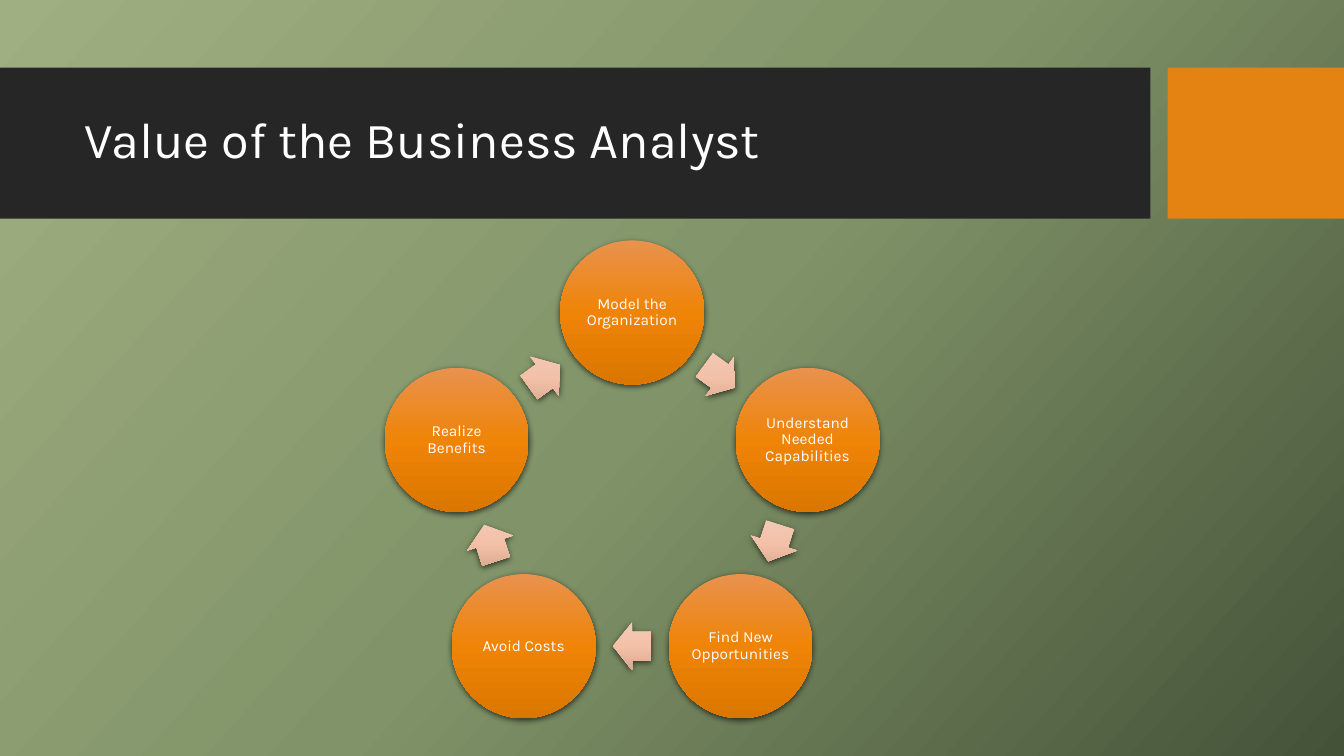
from copy import deepcopy
from math import cos, pi, sin

from lxml.etree import SubElement
from pptx import Presentation
from pptx.dml.color import RGBColor
from pptx.enum.shapes import MSO_SHAPE
from pptx.enum.text import MSO_ANCHOR, PP_ALIGN
from pptx.oxml.ns import qn
from pptx.util import Inches, Pt

WIDTH, HEIGHT = 13.33, 7.5
FONT = "Karla"
BACKGROUND = ("A0AF81", "819469", "445238")
CIRCLE_COLOURS = ("E9924F", "EF8407", "DB7600")
ARROW_COLOURS = ("F2CBB8", "F3C0A8", "DCA991")
STEPS = (
    "Model the Organization",
    "Understand Needed Capabilities",
    "Find New Opportunities",
    "Avoid Costs",
    "Realize Benefits",
)


def colour(hex_string):
    """Turn a hex string into a colour."""
    return RGBColor.from_string(hex_string)


def paint_gradient(fill, element, colours, angle):
    """Give a fill three evenly spaced stops at a clockwise angle."""
    fill.gradient()
    fill.gradient_angle = 360 - angle
    gradient = next(element.iter(qn("a:gradFill")))
    gradient.set("rotWithShape", "0")
    stop_list = gradient.find(qn("a:gsLst"))
    stop_list.append(deepcopy(stop_list[-1]))
    for stop, hex_string, position in zip(fill.gradient_stops, colours, (0, 0.5, 1)):
        stop.color.rgb = colour(hex_string)
        stop.position = position


def add_shadow(shape):
    """Add a soft shadow that falls straight down."""
    shape.shadow.inherit = False
    effects = next(shape.element.iter(qn("a:effectLst")))
    shadow = SubElement(effects, qn("a:outerShdw"), blurRad=str(Pt(4.5)),
                        dist=str(Pt(1.5)), dir="5400000", rotWithShape="0")
    black = SubElement(shadow, qn("a:srgbClr"), val="000000")
    SubElement(black, qn("a:alpha"), val="63000")


def add_centred(shapes, kind, centre, size, colours):
    """Add a shaded shape around a centre point."""
    (x, y), (width, height) = centre, size
    shape = shapes.add_shape(kind, Inches(x - width / 2), Inches(y - height / 2),
                             Inches(width), Inches(height))
    paint_gradient(shape.fill, shape.element, colours, 90)
    shape.line.fill.background()
    add_shadow(shape)
    return shape


def write_step(circle, text):
    """Write a step's name in its circle."""
    frame = circle.text_frame
    frame.word_wrap = True
    frame.vertical_anchor = MSO_ANCHOR.MIDDLE
    frame.margin_left = frame.margin_right = Inches(0.02)
    frame.margin_top = frame.margin_bottom = Inches(0.02)
    frame.text = text
    style_paragraph(frame.paragraphs[0], 11, PP_ALIGN.CENTER)


def style_paragraph(paragraph, size, alignment):
    """Set white text with tight line spacing."""
    paragraph.alignment = alignment
    paragraph.line_spacing = 0.9
    paragraph.font.name = FONT
    paragraph.font.size = Pt(size)
    paragraph.font.color.rgb = colour("FFFFFF")


def add_header(slide, text, top, height):
    """Place the title over a dark band with an accent block at its right."""
    title = slide.shapes.title
    band_width, accent_width = 11.41, 1.75
    bands = ((0, band_width, "262626"), (WIDTH - accent_width, accent_width, "E48312"))
    for left, width, hex_string in bands:
        band = slide.shapes.add_shape(MSO_SHAPE.RECTANGLE, Inches(left), Inches(top),
                                      Inches(width), Inches(height))
        band.fill.solid()
        band.fill.fore_color.rgb = colour(hex_string)
        band.line.fill.background()
        band.shadow.inherit = False
        title.element.addprevious(band.element)
    title.left, title.top = Inches(0.74), Inches(top + 0.15)
    title.width, title.height = Inches(10.51), Inches(1.18)
    title.text_frame.text = text
    title.text_frame.vertical_anchor = MSO_ANCHOR.MIDDLE
    style_paragraph(title.text_frame.paragraphs[0], 36, PP_ALIGN.LEFT)


def add_cycle(slide, steps, centre, radius, diameter):
    """Place the steps clockwise on a ring with an arrow between neighbours."""
    shapes = slide.shapes.add_group_shape().shapes
    turn = 2 * pi / len(steps)
    middle_radius = radius * cos(turn / 2)

    def ring_point(angle, distance):
        """Find a point clockwise from the top of the ring."""
        return centre[0] + distance * sin(angle), centre[1] - distance * cos(angle)

    for index, step in enumerate(steps):
        circle = add_centred(shapes, MSO_SHAPE.OVAL, ring_point(index * turn, radius),
                             (diameter, diameter), CIRCLE_COLOURS)
        write_step(circle, step)
        arrow = add_centred(shapes, MSO_SHAPE.RIGHT_ARROW,
                            ring_point((index + 0.5) * turn, middle_radius),
                            (0.38, 0.48), ARROW_COLOURS)
        arrow.adjustments[0] = 0.6
        arrow.adjustments[1] = 0.5
        arrow.rotation = (index + 0.5) * 360 / len(steps)


def main():
    """Build and save the slide."""
    presentation = Presentation()
    presentation.slide_width = Inches(WIDTH)
    presentation.slide_height = Inches(HEIGHT)
    slide = presentation.slides.add_slide(presentation.slide_layouts.get_by_name("Title Only"))
    paint_gradient(slide.background.fill, slide.element, BACKGROUND, 42)
    add_header(slide, "Value of the Business Analyst", 0.67, 1.5)
    add_cycle(slide, STEPS, (6.27, 4.93), 1.83, 1.43)
    presentation.save("out.pptx")


if __name__ == "__main__":
    main()
